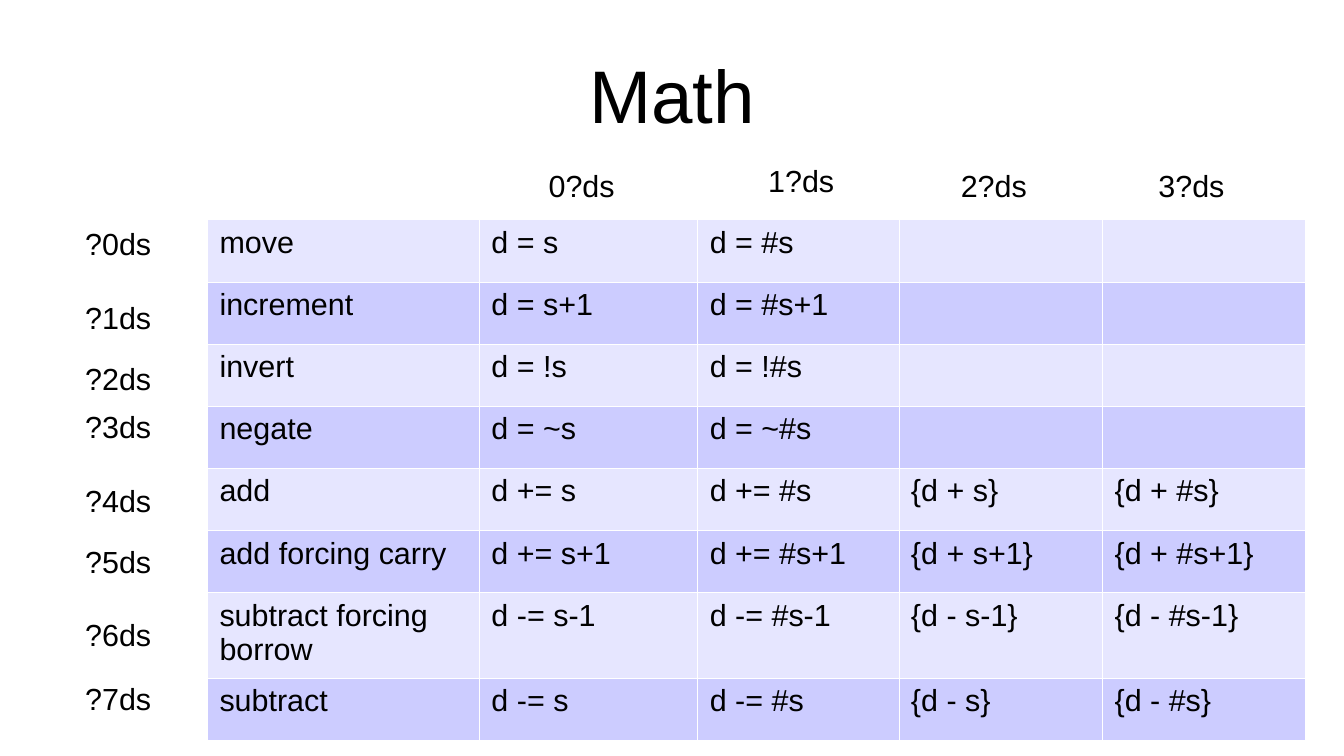
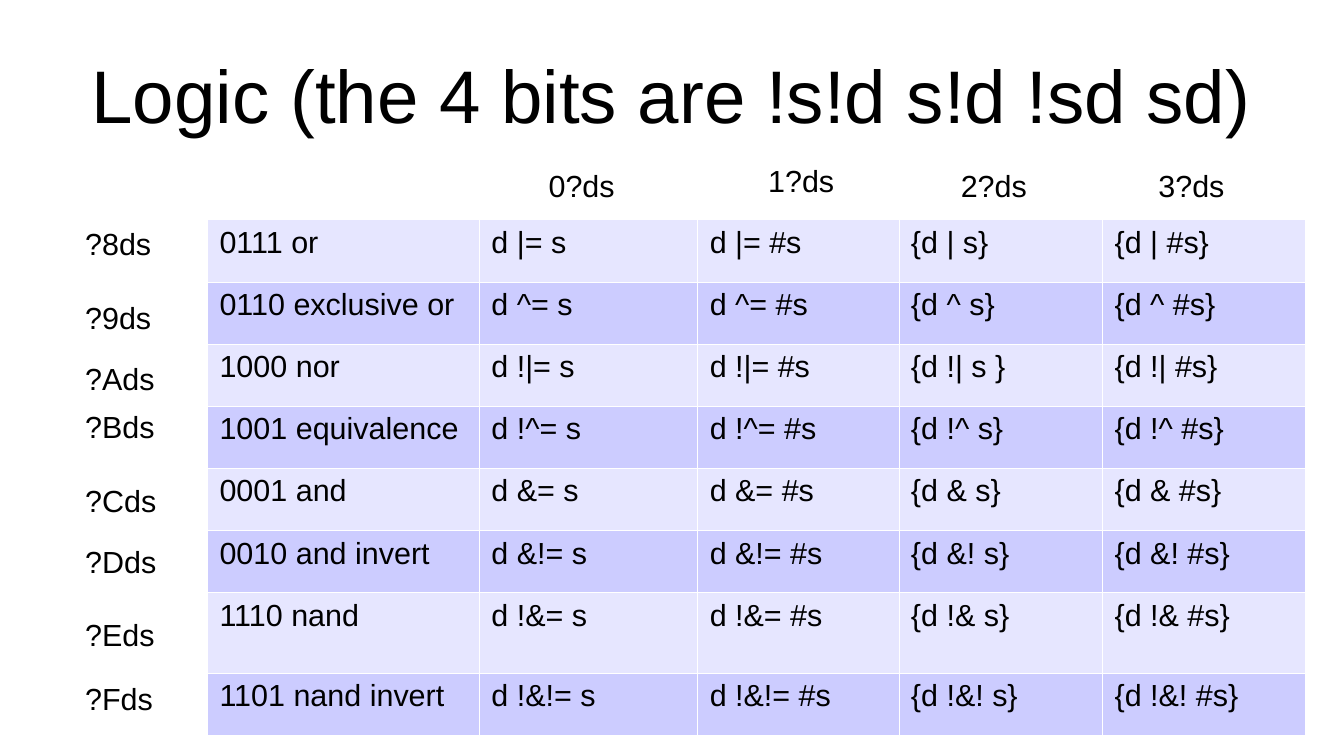
"""Build two instruction tables, one for math and one for logic."""
from dataclasses import dataclass

from pptx import Presentation, oxml
from pptx import util as u
from pptx.dml.color import RGBColor
from pptx.enum import text
from pptx.oxml import ns

COLORS = {"text": "000000", "odd": "E6E6FF", "even": "CCCCFF", "border": "FFFFFF"}
FONT = "Arial"
BODY_SIZE = 18
TITLE_SIZE = 44
BORDER_WIDTH = 0.06

TABLE_LEFT, TABLE_TOP = 1.7, 1.8
COLUMN_WIDTHS = (2.23, 1.79, 1.65, 1.67, 1.66)
ROW_HEIGHTS = (0.51,) * 6 + (0.66, 0.51)
LABEL_LEFT = 0.6


@dataclass(frozen=True)
class Label:
    """A place for a code beside or above the table."""
    left: float
    top: float
    width: float = 0.8
    height: float = 0.38


@dataclass(frozen=True)
class Instructions:
    """The content of one slide."""
    title: str
    digits: str
    rows: tuple[tuple[str, ...], ...]


COLUMN_LABELS = (
    Label(4.4, 1.32),
    Label(6.2, 1.28, height=0.42),
    Label(7.78, 1.32),
    Label(9.4, 1.32, width=0.9),
)
ROW_LABELS = (
    Label(LABEL_LEFT, 1.8, width=1),
    Label(LABEL_LEFT, 2.4),
    Label(LABEL_LEFT, 2.9, height=0.4),
    Label(LABEL_LEFT, 3.3, width=0.9),
    Label(LABEL_LEFT, 3.9),
    Label(LABEL_LEFT, 4.4),
    Label(LABEL_LEFT, 5),
    Label(LABEL_LEFT, 5.53),
)

SLIDES = (
    Instructions("Math", "01234567", (
        ("move", "d = s", "d = #s", "", ""),
        ("increment", "d = s+1", "d = #s+1", "", ""),
        ("invert", "d = !s", "d = !#s", "", ""),
        ("negate", "d = ~s", "d = ~#s", "", ""),
        ("add", "d += s", "d += #s", "{d + s}", "{d + #s}"),
        ("add forcing carry", "d += s+1", "d += #s+1", "{d + s+1}", "{d + #s+1}"),
        ("subtract forcing borrow", "d -= s-1", "d -= #s-1", "{d - s-1}", "{d - #s-1}"),
        ("subtract", "d -= s", "d -= #s", "{d - s}", "{d - #s}"),
    )),
    Instructions("Logic (the 4 bits are !s!d s!d !sd sd)", "89ABCDEF", (
        ("0111 or", "d |= s", "d |= #s", "{d | s}", "{d | #s}"),
        ("0110 exclusive or", "d ^= s", "d ^= #s", "{d ^ s}", "{d ^ #s}"),
        ("1000 nor", "d !|= s", "d !|= #s", "{d !| s }", "{d !| #s}"),
        ("1001 equivalence", "d !^= s", "d !^= #s", "{d !^ s}", "{d !^ #s}"),
        ("0001 and", "d &= s", "d &= #s", "{d & s}", "{d & #s}"),
        ("0010 and invert", "d &!= s", "d &!= #s", "{d &! s}", "{d &! #s}"),
        ("1110 nand", "d !&= s", "d !&= #s", "{d !& s}", "{d !& #s}"),
        ("1101 nand invert", "d !&!= s", "d !&!= #s", "{d !&! s}", "{d !&! #s}"),
    )),
)


def write(frame, words: str, size: int = BODY_SIZE) -> None:
    """Set the text of a frame and format it."""
    frame.text = words
    para = frame.paragraphs[0]
    for font in [para.font, *(span.font for span in para.runs)]:
        font.name = FONT
        font.size = u.Pt(size)
        font.color.rgb = RGBColor.from_string(COLORS["text"])


def add_title(page, words: str) -> None:
    """Place and fill the title placeholder."""
    title = page.shapes.title
    title.left, title.top = u.Inches(0.55), u.Inches(0.25)
    title.width, title.height = u.Inches(9.92), u.Inches(1.04)
    frame = title.text_frame
    write(frame, words, TITLE_SIZE)
    frame.margin_left = frame.margin_right = 0
    frame.margin_top = frame.margin_bottom = 0
    frame.word_wrap = True
    frame.auto_size = text.MSO_AUTO_SIZE.SHAPE_TO_FIT_TEXT
    frame.vertical_anchor = text.MSO_ANCHOR.MIDDLE
    frame.paragraphs[0].alignment = text.PP_ALIGN.CENTER


def add_label(page, label: Label, words: str) -> None:
    """Add one code label."""
    box = page.shapes.add_textbox(u.Inches(label.left), u.Inches(label.top),
                                  u.Inches(label.width), u.Inches(label.height))
    frame = box.text_frame
    write(frame, words)
    frame.word_wrap = True
    frame.auto_size = text.MSO_AUTO_SIZE.SHAPE_TO_FIT_TEXT


def add_borders(cell) -> None:
    """Draw a thin line on each side of a cell."""
    properties = cell._tc.get_or_add_tcPr()
    for side in ("lnL", "lnR", "lnT", "lnB"):
        properties.append(oxml.parse_xml(
            f'<a:{side} {ns.nsdecls("a")} w="{u.Pt(BORDER_WIDTH)}"><a:solidFill>'
            f'<a:srgbClr val="{COLORS["border"]}"/></a:solidFill></a:{side}>'))


def add_instruction_table(page, rows: tuple[tuple[str, ...], ...]) -> None:
    """Add the banded table of operations."""
    table = page.shapes.add_table(
        len(rows), len(COLUMN_WIDTHS), u.Inches(TABLE_LEFT), u.Inches(TABLE_TOP),
        u.Inches(sum(COLUMN_WIDTHS)), u.Inches(sum(ROW_HEIGHTS))).table
    table.first_row = table.horz_banding = False
    for column, width in zip(table.columns, COLUMN_WIDTHS):
        column.width = u.Inches(width)
    for index, (row, height, entries) in enumerate(zip(table.rows, ROW_HEIGHTS, rows)):
        row.height = u.Inches(height)
        band = COLORS["even" if index % 2 else "odd"]
        for cell, words in zip(row.cells, entries):
            write(cell.text_frame, words)
            add_borders(cell)
            cell.fill.solid()
            cell.fill.fore_color.rgb = RGBColor.from_string(band)


def add_page(deck, content: Instructions) -> None:
    """Add one slide with its title, table and labels."""
    page = deck.slides.add_slide(deck.slide_layouts.get_by_name("Title Only"))
    add_title(page, content.title)
    add_instruction_table(page, content.rows)
    for number, label in enumerate(COLUMN_LABELS):
        add_label(page, label, f"{number}?ds")
    for digit, label in zip(content.digits, ROW_LABELS):
        add_label(page, label, f"?{digit}ds")


def main() -> None:
    """Build and save the deck."""
    deck = Presentation()
    deck.slide_width, deck.slide_height = u.Inches(11.02), u.Inches(6.2)
    for content in SLIDES:
        add_page(deck, content)
    deck.save("out.pptx")


if __name__ == "__main__":
    main()
